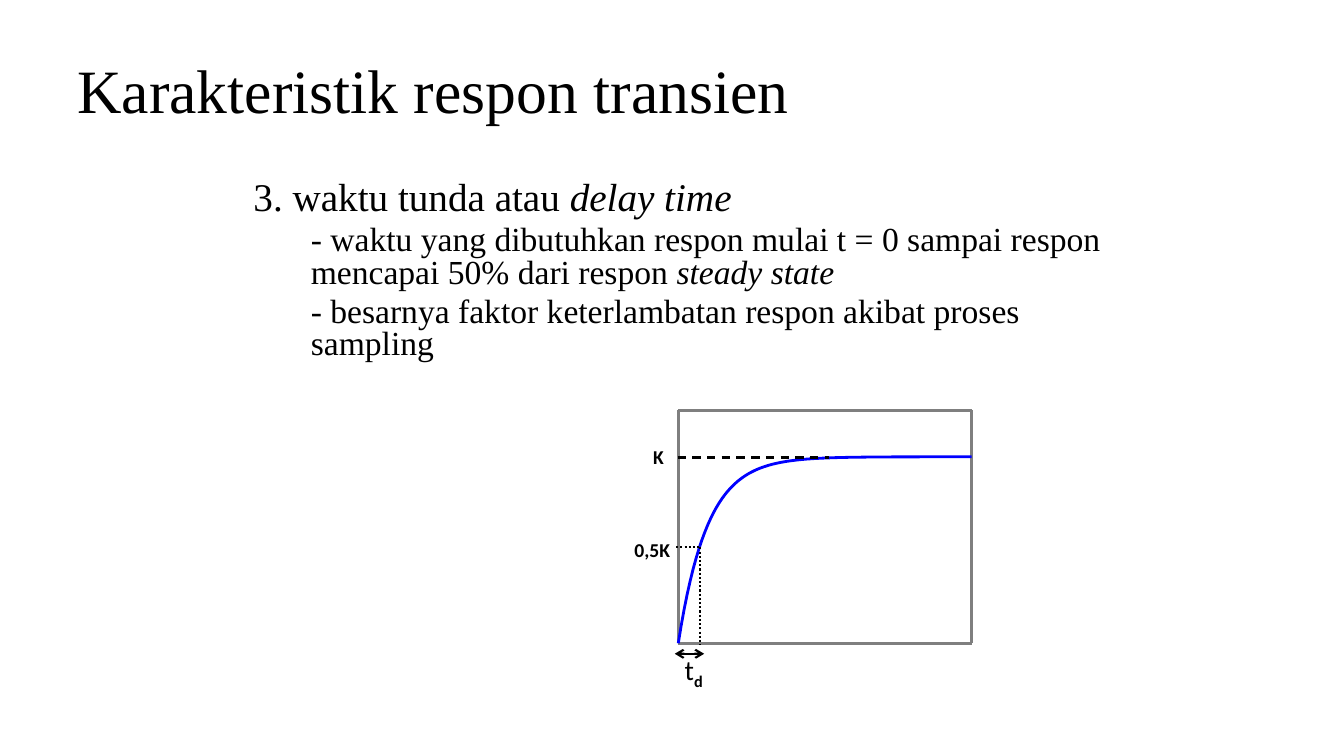
from dataclasses import dataclass
from math import exp

from lxml.etree import SubElement
from pptx import Presentation
from pptx.dml.color import RGBColor as RGB
from pptx.enum.dml import MSO_LINE_DASH_STYLE as DASH
from pptx.enum.shapes import MSO_CONNECTOR, MSO_SHAPE
from pptx.enum.text import MSO_ANCHOR as ANCHOR, MSO_AUTO_SIZE, PP_ALIGN as ALIGN
from pptx.oxml.ns import qn
from pptx.util import Pt


@dataclass(frozen=True)
class Theme:
    ink: RGB = RGB(0, 0, 0)
    paper: RGB = RGB(255, 255, 255)
    frame: RGB = RGB(0x7F, 0x7F, 0x7F)
    curve: RGB = RGB(0, 0, 255)
    serif: str = "Times New Roman"
    sans: str = "Calibri"
    title: int = 44
    heading: int = 28
    body: int = 24
    symbol: int = 20
    label: int = 14


class SlideBuilder:
    def __init__(self, prs, theme):
        self.theme = theme
        self.slide = prs.slides.add_slide(prs.slide_layouts[5])
        self.shapes = self.slide.shapes

    def style(self, r, font, size, bold=False, italic=False):
        r.font.name, r.font.size = font, Pt(size)
        r.font.bold, r.font.italic = bold, italic
        r.font.color.rgb = self.theme.ink

    def place(self, sp, left, top, width, height):
        sp.left, sp.top, sp.width, sp.height = map(Pt, (left, top, width, height))

    def title(self, text, *box):
        sp = self.shapes.title
        self.place(sp, *box)
        tf = sp.text_frame
        tf.text = text
        tf.auto_size = MSO_AUTO_SIZE.NONE
        tf.vertical_anchor = ANCHOR.MIDDLE
        p = tf.paragraphs[0]
        p.alignment, p.line_spacing = ALIGN.LEFT, 0.9
        self.style(p.runs[0], self.theme.serif, self.theme.title)

    def outline(self, items, *box):
        tf = self.shapes.add_textbox(*map(Pt, box)).text_frame
        tf.word_wrap = True
        for i, (size, indent, plain, emphasis) in enumerate(items):
            p = tf.add_paragraph() if i else tf.paragraphs[0]
            p.line_spacing = 0.8
            if i:
                p.space_before = Pt(5)
            p._p.get_or_add_pPr().set("marL", str(Pt(indent)))
            for text, italic in ((plain, False), (emphasis, True)):
                if text:
                    r = p.add_run()
                    r.text = text
                    self.style(r, self.theme.serif, size, italic=italic)

    def label(self, text, *box, align=ALIGN.LEFT):
        tf = self.shapes.add_textbox(*map(Pt, box)).text_frame
        tf.word_wrap = True
        tf.text = text
        p = tf.paragraphs[0]
        p.alignment = align
        self.style(p.runs[0], self.theme.sans, self.theme.label, bold=True)

    def symbol(self, base, subscript, *box):
        sp = self.shapes.add_shape(MSO_SHAPE.RECTANGLE, *map(Pt, box))
        sp.shadow.inherit = False
        sp.fill.solid()
        sp.fill.fore_color.rgb = self.theme.paper
        sp.line.fill.background()
        tf = sp.text_frame
        tf.word_wrap = False
        tf.vertical_anchor = ANCHOR.MIDDLE
        p = tf.paragraphs[0]
        p.alignment = ALIGN.CENTER
        for text, is_sub in ((base, False), (subscript, True)):
            r = p.add_run()
            r.text = text
            self.style(r, self.theme.sans, self.theme.symbol, bold=is_sub)
            if is_sub:
                r._r.get_or_add_rPr().set("baseline", "-25000")

    def line(self, x1, y1, x2, y2, color, width, dash=None, arrows=False):
        cx = self.shapes.add_connector(MSO_CONNECTOR.STRAIGHT, *map(Pt, (x1, y1, x2, y2)))
        cx.line.color.rgb = color
        cx.line.width = Pt(width)
        if dash:
            cx.line.dash_style = dash
        if arrows:
            ln = cx.line._get_or_add_ln()
            for end in ("a:headEnd", "a:tailEnd"):
                SubElement(ln, qn(end)).set("type", "arrow")
        SubElement(cx._element.spPr, qn("a:effectLst"))

    def curve(self, points, color, width):
        pts = [(Pt(x), Pt(y)) for x, y in points]
        fb = self.shapes.build_freeform(*pts[0], scale=1.0)
        fb.add_line_segments(pts[1:], close=False)
        sp = fb.convert_to_shape()
        sp.shadow.inherit = False
        sp.fill.background()
        sp.line.color.rgb = color
        sp.line.width = Pt(width)


def draw_response(b, t):
    left, right, top, bottom = 484.5, 694, 293, 459.5
    steady, tau, steps = 326.3, 20.9, 100
    half, delay = 391, 499.7

    corners = [(left, bottom), (left, top), (right, top), (right, bottom)]
    for start, end in zip(corners, corners[1:] + corners[:1]):
        b.line(*start, *end, t.frame, 0)

    xs = [(right - left) * i / steps for i in range(steps + 1)]
    b.curve([(left + x, bottom - (bottom - steady) * (1 - exp(-x / tau))) for x in xs], t.curve, 2)

    b.line(left - 0.5, steady + 0.5, 592, steady + 0.5, t.ink, 1.5, DASH.DASH)
    b.label("K", 459.5, 314, 26, 24)
    b.line(delay, half, delay, 460.5, t.ink, 1.5, DASH.ROUND_DOT)
    b.symbol("t", "d", 484, 468, 23, 24)
    b.line(483, half, 501, half, t.ink, 1.5, DASH.ROUND_DOT)
    b.label("0,5K", 444, 381, 44, 24, align=ALIGN.CENTER)
    b.line(482, 467, 503, 467, t.ink, 1.5, arrows=True)


def main():
    prs = Presentation()
    prs.slide_width, prs.slide_height = Pt(960), Pt(540)
    t = Theme()
    b = SlideBuilder(prs, t)
    b.title("Karakteristik respon transien", 48, 21.5, 864, 90)
    b.outline([
        (t.heading, 18, "3. waktu tunda atau ", "delay time"),
        (t.body, 59, "- waktu yang dibutuhkan respon mulai t = 0 sampai respon "
                     "mencapai 50% dari respon ", "steady state"),
        (t.body, 59, "- besarnya faktor keterlambatan respon akibat proses sampling", ""),
    ], 156, 126, 648, 150)
    draw_response(b, t)
    prs.save("out.pptx")


if __name__ == "__main__":
    main()
